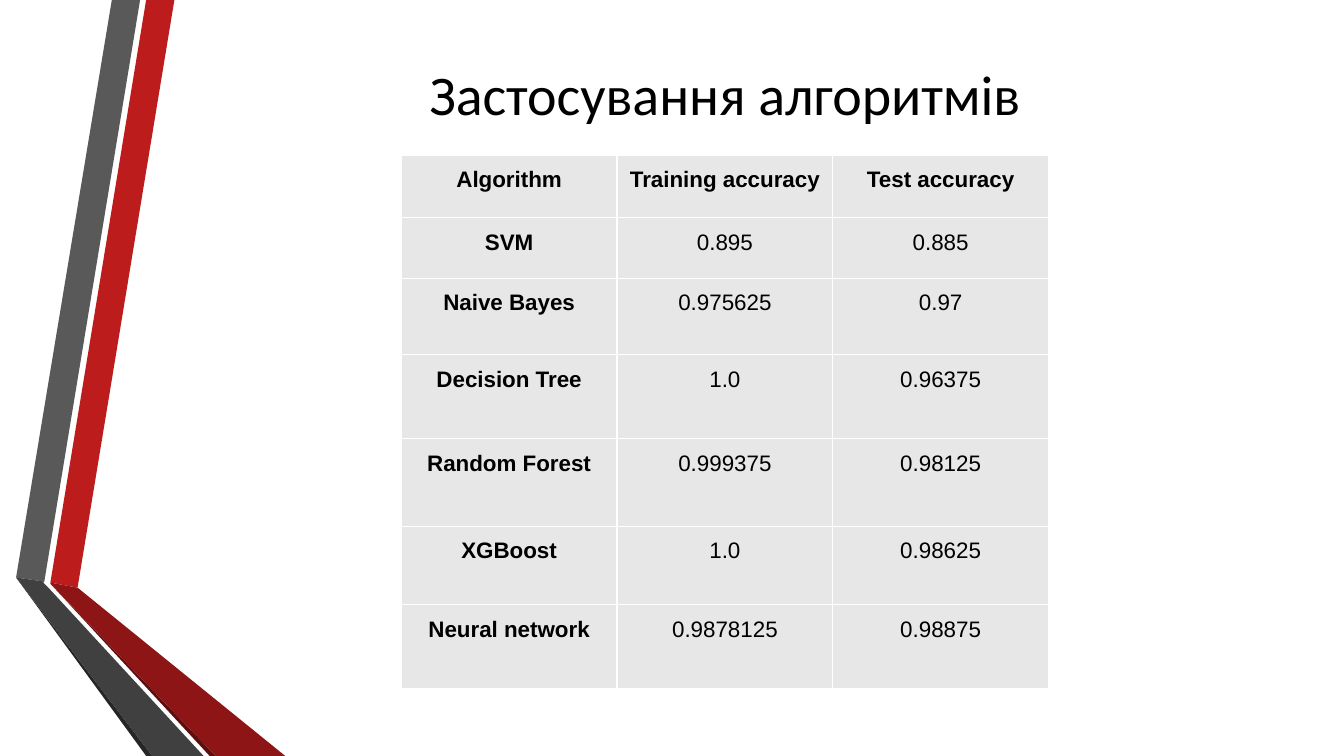
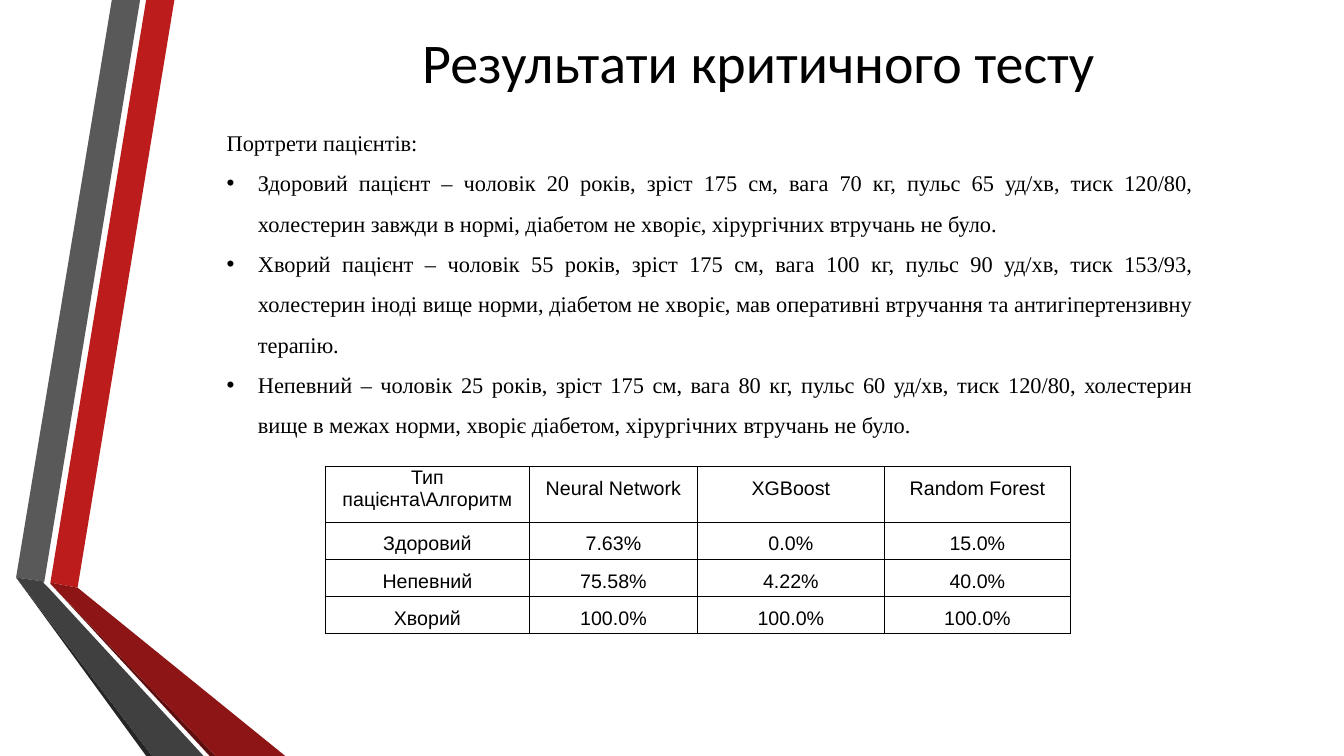
from lxml.etree import SubElement
from pptx import Presentation
from pptx.dml.color import RGBColor
from pptx.enum.text import MSO_ANCHOR, MSO_AUTO_SIZE, PP_ALIGN
from pptx.oxml.ns import qn
from pptx.util import Inches, Pt

BLACK, WHITE, TABLE_GREY = "000000", "FFFFFF", "E7E7E7"
TITLE_FONT, BODY_FONT, TABLE_FONT = "Calibri", "Times New Roman", "Arial"
BULLET_INDENT = 0.31

# Colour and corner points of each ribbon part, from back to front
RIBBONS = [
    ("BC1C1C", [(0.5, 5.78), (0.77, 5.83), (1.73, 0), (1.45, 0)]),
    ("595959", [(1.39, 0), (1.11, 0), (0.16, 5.73), (0.44, 5.77)]),
    ("262626", [(0.16, 5.73), (1.45, 7.5), (1.51, 7.5)]),
    ("5E0E0E", [(0.5, 5.79), (2.08, 7.5), (2.14, 7.5)]),
    ("8D1515", [(0.5, 5.79), (2.14, 7.5), (2.83, 7.5), (0.77, 5.83), (0.5, 5.78)]),
    ("404040", [(2.02, 7.5), (0.48, 5.83), (0.43, 5.78), (0.44, 5.77),
                (0.16, 5.73), (1.51, 7.5)]),
]

ACCURACY = [
    ("Algorithm", "Training accuracy", "Test accuracy"),
    ("SVM", "0.895", "0.885"),
    ("Naive Bayes", "0.975625", "0.97"),
    ("Decision Tree", "1.0", "0.96375"),
    ("Random Forest", "0.999375", "0.98125"),
    ("XGBoost", "1.0", "0.98625"),
    ("Neural network", "0.9878125", "0.98875"),
]

PATIENTS_HEADING = "Портрети пацієнтів:"
PATIENTS = [
    "Здоровий пацієнт – чоловік 20 років, зріст 175 см, вага 70 кг, пульс 65 уд/хв, "
    "тиск 120/80, холестерин завжди в нормі, діабетом не хворіє, "
    "хірургічних втручань не було.",
    "Хворий пацієнт – чоловік 55 років, зріст 175 см, вага 100 кг, пульс 90 уд/хв, "
    "тиск 153/93, холестерин іноді вище норми, діабетом не хворіє, "
    "мав оперативні втручання та антигіпертензивну терапію.",
    "Непевний – чоловік 25 років, зріст 175 см, вага 80 кг, пульс 60 уд/хв, "
    "тиск 120/80, холестерин вище в межах норми, хворіє діабетом, "
    "хірургічних втручань не було.",
]

CRITICAL_TEST = [
    (r"Тип пацієнта\Алгоритм", "Neural Network", "XGBoost", "Random Forest"),
    ("Здоровий", "7.63%", "0.0%", "15.0%"),
    ("Непевний", "75.58%", "4.22%", "40.0%"),
    ("Хворий", "100.0%", "100.0%", "100.0%"),
]


def color(hex_value):
    return RGBColor.from_string(hex_value)


def style_paragraph(paragraph, font_name, size, align, bold=False):
    paragraph.alignment = align
    for run in paragraph.runs:
        run.font.name = font_name
        run.font.size = Pt(size)
        run.font.bold = bold
        run.font.color.rgb = color(BLACK)


def add_ribbons(slide):
    for fill, points in RIBBONS:
        corners = [(Inches(x), Inches(y)) for x, y in points]
        builder = slide.shapes.build_freeform(*corners[0], scale=1.0)
        builder.add_line_segments(corners[1:], close=True)
        ribbon = builder.convert_to_shape()
        ribbon.shadow.inherit = False
        ribbon.fill.solid()
        ribbon.fill.fore_color.rgb = color(fill)
        ribbon.line.fill.background()


def add_text_frame(slide, left, top, width, height):
    box = slide.shapes.add_textbox(
        Inches(left), Inches(top), Inches(width), Inches(height))
    box.text_frame.word_wrap = True
    return box.text_frame


def add_titled_slide(prs, title, *title_area):
    slide = prs.slides.add_slide(prs.slide_layouts[6])
    add_ribbons(slide)
    frame = add_text_frame(slide, *title_area)
    frame.vertical_anchor = MSO_ANCHOR.MIDDLE
    frame.text = title
    style_paragraph(frame.paragraphs[0], TITLE_FONT, 40, PP_ALIGN.CENTER)
    return slide


def add_bullet(paragraph):
    properties = paragraph._p.get_or_add_pPr()
    properties.set("marL", str(Inches(BULLET_INDENT)))
    properties.set("indent", str(-Inches(BULLET_INDENT)))
    SubElement(properties, qn("a:buFont"), typeface="Arial")
    SubElement(properties, qn("a:buChar"), char="•")


def add_patients(slide):
    frame = add_text_frame(slide, 2.15, 1.1, 9.78, 3.29)
    frame.auto_size = MSO_AUTO_SIZE.SHAPE_TO_FIT_TEXT
    frame.text = "\n".join([PATIENTS_HEADING, *PATIENTS])
    for paragraph in frame.paragraphs:
        style_paragraph(paragraph, BODY_FONT, 16, PP_ALIGN.JUSTIFY)
        paragraph.line_spacing = 1.5
    for paragraph in frame.paragraphs[1:]:
        add_bullet(paragraph)


def set_borders(cell, hex_value, width):
    properties = cell._tc.get_or_add_tcPr()
    for side in ("lnL", "lnR", "lnT", "lnB"):
        line = SubElement(properties, qn(f"a:{side}"), w=str(Pt(width)))
        fill = SubElement(line, qn("a:solidFill"))
        SubElement(fill, qn("a:srgbClr"), val=hex_value)


def add_table(slide, left, top, column_widths, row_heights, rows, size, border,
              fill=None, bold_headers=False, space_before=0, space_after=0):
    table = slide.shapes.add_table(
        len(rows), len(column_widths), Inches(left), Inches(top),
        Inches(sum(column_widths)), Inches(sum(row_heights))).table
    table.first_row = table.horz_banding = False
    for column, width in zip(table.columns, column_widths):
        column.width = Inches(width)
    for row, height in zip(table.rows, row_heights):
        row.height = Inches(height)
    for r, values in enumerate(rows):
        for c, value in enumerate(values):
            cell = table.cell(r, c)
            cell.margin_left = cell.margin_right = Inches(0.07)
            cell.margin_top = cell.margin_bottom = 0
            set_borders(cell, *border)
            if fill:
                cell.fill.solid()
                cell.fill.fore_color.rgb = color(fill)
            else:
                cell.fill.background()
            cell.text_frame.text = value
            paragraph = cell.text_frame.paragraphs[0]
            is_header = r == 0 or c == 0
            style_paragraph(paragraph, TABLE_FONT, size, PP_ALIGN.CENTER,
                            bold_headers and is_header)
            paragraph.line_spacing = 1.5
            paragraph.space_before = Pt(space_before)
            paragraph.space_after = Pt(space_after)
    return table


def add_accuracy_slide(prs):
    slide = add_titled_slide(prs, "Застосування алгоритмів", 1.71, 0.08, 10.96, 1.69)
    add_table(slide, 3.98, 1.54, [2.14] * 3,
              [0.62, 0.6, 0.76, 0.83, 0.87, 0.78, 0.83], ACCURACY, 16, (WHITE, 1),
              fill=TABLE_GREY, bold_headers=True, space_before=12, space_after=12)


def add_critical_test_slide(prs):
    slide = add_titled_slide(prs, "Результати критичного тесту", 3.23, 0.2, 8.58, 0.81)
    add_patients(slide)
    table = add_table(slide, 3.23, 4.63, [2.02, 1.67, 1.85, 1.85],
                      [0.55] + [0.37] * 3, CRITICAL_TEST, 14, (BLACK, 0.75),
                      space_after=8)
    corner = table.cell(0, 0).text_frame.paragraphs[0]
    corner.line_spacing = 1.0
    corner.space_after = 0


def main():
    prs = Presentation()
    prs.slide_width, prs.slide_height = Inches(13.33), Inches(7.5)
    add_accuracy_slide(prs)
    add_critical_test_slide(prs)
    prs.save("out.pptx")


if __name__ == "__main__":
    main()
